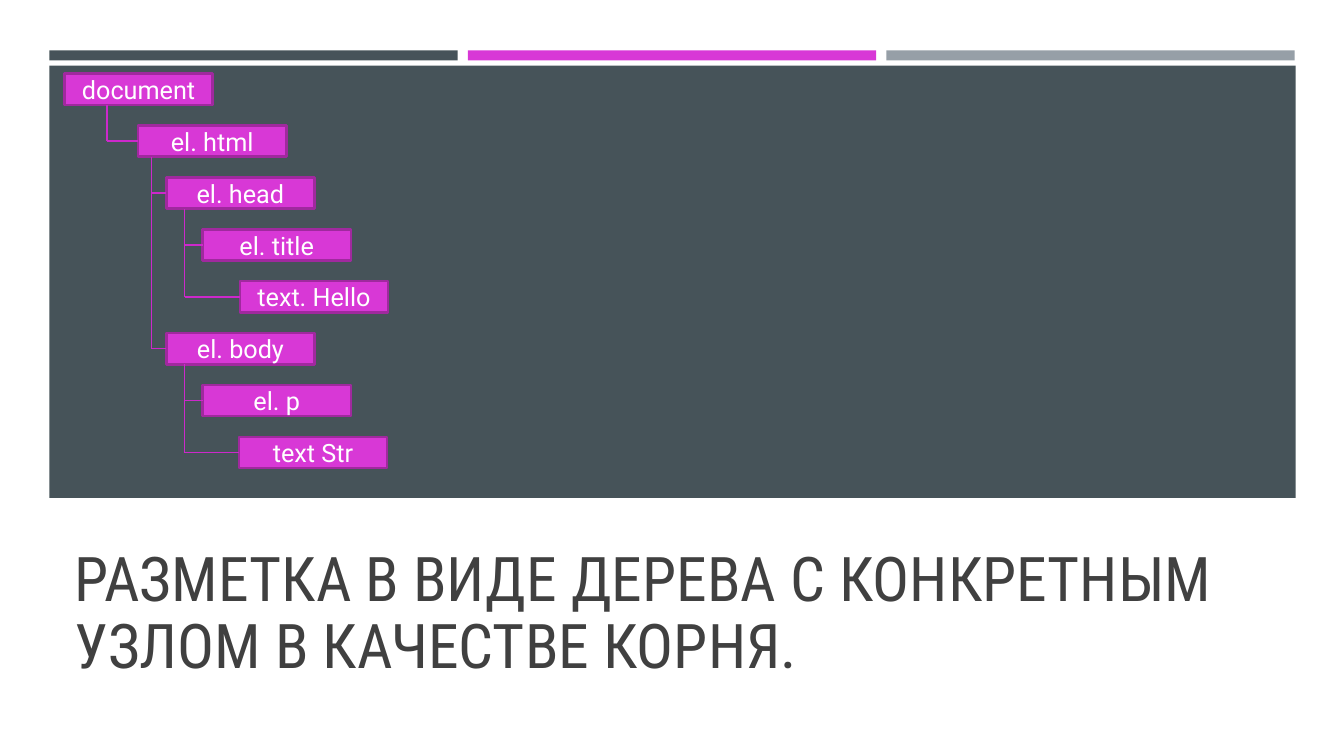
from lxml.etree import SubElement
from pptx import Presentation
from pptx.dml.color import RGBColor as RGB
from pptx.enum.shapes import MSO_CONNECTOR as LINE, MSO_SHAPE as SHAPE
from pptx.enum.text import MSO_ANCHOR as ANCHOR, PP_ALIGN as ALIGN
from pptx.oxml.ns import qn
from pptx.util import Inches, Pt

HUE = {
    "back": "243741", "white": "FFFFFF", "slate": "465359", "pink": "D838D6",
    "gray": "969FA7", "edge": "A0299E", "wire": "CD28CB", "ink": "404040",
}
WIDE, HIGH = 13.33, 7.5
EDGE, BAR, STEP = 0.49, 4.05, 4.15
TOP, PITCH = 0.73, 0.515
BOX_W, BOX_H = 1.47, 0.31

deck = Presentation()
deck.slide_width, deck.slide_height = Inches(WIDE), Inches(HIGH)
slide = deck.slides.add_slide(deck.slide_layouts[6])
slide.background.fill.solid()
slide.background.fill.fore_color.rgb = RGB.from_string(HUE["back"])


def add_box(left, top, width, height, hue):
    box = slide.shapes.add_shape(SHAPE.RECTANGLE, *map(Inches, (left, top, width, height)))
    box.shadow.inherit = False
    box.fill.solid()
    box.fill.fore_color.rgb = RGB.from_string(HUE[hue])
    box.line.fill.background()
    return box


def add_text(frame, text, font, size, hue):
    frame.word_wrap = True
    frame.vertical_anchor = ANCHOR.MIDDLE
    para = frame.paragraphs[0]
    run = para.add_run()
    run.text = text
    run.font.name, run.font.size = font, Pt(size)
    run.font.color.rgb = RGB.from_string(HUE[hue])
    return para


add_box(0, 0, WIDE, HIGH, "white")

title = slide.shapes.add_textbox(*map(Inches, (0.64, 5.31, 12.06, 1.58)))
para = add_text(title.text_frame, "РАЗМЕТКА В ВИДЕ ДЕРЕВА С КОНКРЕТНЫМ УЗЛОМ В КАЧЕСТВЕ КОРНЯ.",
                "Roboto Condensed", 44, "ink")
para.line_spacing = 0.9

for col, hue in enumerate(("slate", "pink", "gray")):
    add_box(EDGE + col * STEP, 0.5, BAR, 0.1, hue)
add_box(EDGE, 0.65, 12.36, 4.29, "slate")

nodes = [
    ("document", 0.64), ("el. html", 1.37), ("el. head", 1.65), ("el. title", 2.01),
    ("text. Hello", 2.38), ("el. body", 1.65), ("el. p", 2.01), ("text Str", 2.37),
]
for row, (name, left) in enumerate(nodes):
    node = add_box(left, TOP + row * PITCH, BOX_W, BOX_H, "pink")
    node.line.color.rgb = RGB.from_string(HUE["edge"])
    node.line.width = Pt(1.75)
    add_text(node.text_frame, name, "Roboto", 18, "white").alignment = ALIGN.CENTER

trunks = [(1.06, 0, (1,)), (1.5, 1, (2, 5)), (1.83, 2, (3, 4)), (1.83, 5, (6, 7))]
wires = []
for x, root, kids in trunks:
    mids = [TOP + kid * PITCH + BOX_H / 2 for kid in kids]
    wires.append((x, TOP + root * PITCH + BOX_H, x, mids[-1]))
    wires += [(x, mid, nodes[kid][1], mid) for kid, mid in zip(kids, mids)]

for ends in wires:
    wire = slide.shapes.add_connector(LINE.STRAIGHT, *map(Inches, ends))
    wire.line.color.rgb = RGB.from_string(HUE["wire"])
    wire.line.width = Pt(1)
    SubElement(wire._element.spPr, qn("a:effectLst"))

deck.save("out.pptx")
